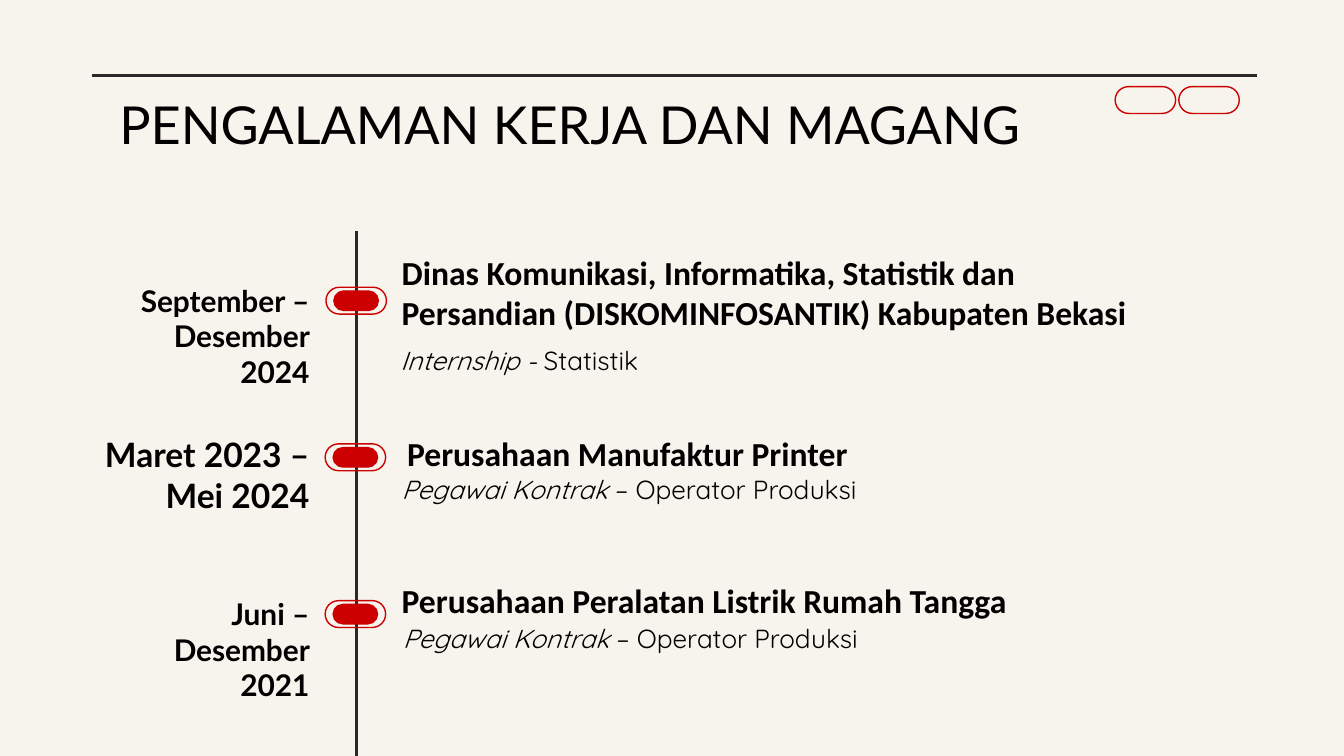
from pptx import Presentation, util as u
from pptx.dml.color import RGBColor
from pptx.enum import shapes, text
from pptx.oxml.ns import qn
from lxml import etree

PAPER = RGBColor(0xF6, 0xF4, 0xEC)
INK = RGBColor(0x28, 0x28, 0x28)
BLACK = RGBColor(0, 0, 0)
RED = RGBColor(0xCC, 0, 0)

TITLE = "PENGALAMAN KERJA DAN MAGANG"
# Boxes are left, top, width, height in points.
JOBS = [
    {"period": ("September – Desember 2024", 16, (56.9, 144, 115.9, 33.8)),
     "employer": ("Dinas Komunikasi, Informatika, Statistik dan Persandian "
                  "(DISKOMINFOSANTIK) Kabupaten Bekasi", (208.1, 144, 421.2, 25.2)),
     "role": ("Internship - ", "Statistik", (207.4, 177.1, 164.9, 28.1)),
     "marker": (174.6, 153.9)},
    {"period": ("Maret 2023 – Mei 2024", 18, (44.6, 225.4, 128.2, 33.8)),
     "employer": ("Perusahaan Manufaktur Printer", (211, 222, 430.6, 41)),
     "role": ("Pegawai Kontrak ", "– Operator Produksi", (208.1, 246.2, 262.8, 27.4)),
     "marker": (174.2, 237.8)},
    {"period": ("Juni – Desember 2021", 16, (56.9, 311.8, 115.9, 33.8)),
     "employer": ("Perusahaan Peralatan Listrik Rumah Tangga", (208.1, 300.8, 414, 41)),
     "role": ("Pegawai Kontrak ", "– Operator Produksi", (208.8, 326.2, 262.8, 27.4)),
     "marker": (174.2, 321.8)},
]
PILL = (32.4, 14.4)
CORE = (23.8, 10.4)
CORNER_PILLS = [(597.4, 46.4), (631.5, 46.4)]


def add_text(slide, box, runs, align=text.PP_ALIGN.LEFT,
             anchor=text.MSO_ANCHOR.TOP, space_after=0):
    """Add a one-paragraph text box; runs are (words, font values) pairs."""
    frame = slide.shapes.add_textbox(*map(u.Pt, box)).text_frame
    frame.word_wrap = True
    frame.vertical_anchor = anchor
    for side in ("left", "top", "right", "bottom"):
        setattr(frame, f"margin_{side}", u.Pt(7.2))
    paragraph = frame.paragraphs[0]
    paragraph.alignment = align
    paragraph.space_after = u.Pt(space_after)
    for words, values in runs:
        run = paragraph.add_run()
        run.text = words
        run.font.color.rgb = BLACK
        for name, value in values.items():
            setattr(run.font, name, value)


def add_line(slide, *ends):
    line = slide.shapes.add_connector(shapes.MSO_CONNECTOR.STRAIGHT, *map(u.Pt, ends))
    line.line.color.rgb = INK
    line.line.width = u.Pt(1.5)
    etree.SubElement(line._element.spPr, qn("a:effectLst"))


def add_pill(slide, left, top, size, filled=False):
    pill = slide.shapes.add_shape(shapes.MSO_SHAPE.ROUNDED_RECTANGLE,
                                  *map(u.Pt, (left, top, *size)))
    pill.adjustments[0] = 0.5
    pill.shadow.inherit = False
    pill.line.color.rgb = RED
    pill.line.width = u.Pt(0.75)
    if filled:
        pill.fill.solid()
        pill.fill.fore_color.rgb = RED
    else:
        pill.fill.background()


def add_job(slide, job):
    words, size, box = job["period"]
    add_text(slide, box, [(words, {"name": "Lato", "size": u.Pt(size), "bold": True})],
             align=text.PP_ALIGN.RIGHT, space_after=12)

    words, box = job["employer"]
    add_text(slide, box, [(words, {"name": "Calibri", "size": u.Pt(18), "bold": True})],
             anchor=text.MSO_ANCHOR.MIDDLE)

    status, duty, box = job["role"]
    font = {"name": "Quicksand", "size": u.Pt(14)}
    add_text(slide, box, [(status, {**font, "italic": True}), (duty, font)],
             space_after=12)

    left, top = job["marker"]
    add_pill(slide, left, top, PILL)
    add_pill(slide, left + (PILL[0] - CORE[0]) / 2, top + (PILL[1] - CORE[1]) / 2,
             CORE, filled=True)


def main():
    presentation = Presentation()
    presentation.slide_width = u.Pt(720)
    presentation.slide_height = u.Pt(405)
    slide = presentation.slides.add_slide(presentation.slide_layouts[6])
    slide.background.fill.solid()
    slide.background.fill.fore_color.rgb = PAPER

    add_line(slide, 49.4, 40.3, 673.2, 40.3)
    add_text(slide, (56.9, 42.5, 530.6, 45.4),
             [(TITLE, {"name": "Lato", "size": u.Pt(28)})])
    for left, top in CORNER_PILLS:
        add_pill(slide, left, top, PILL)

    add_line(slide, 190.8, 123.8, 190.8, 405)
    for job in JOBS:
        add_job(slide, job)
    presentation.save("out.pptx")


if __name__ == "__main__":
    main()
